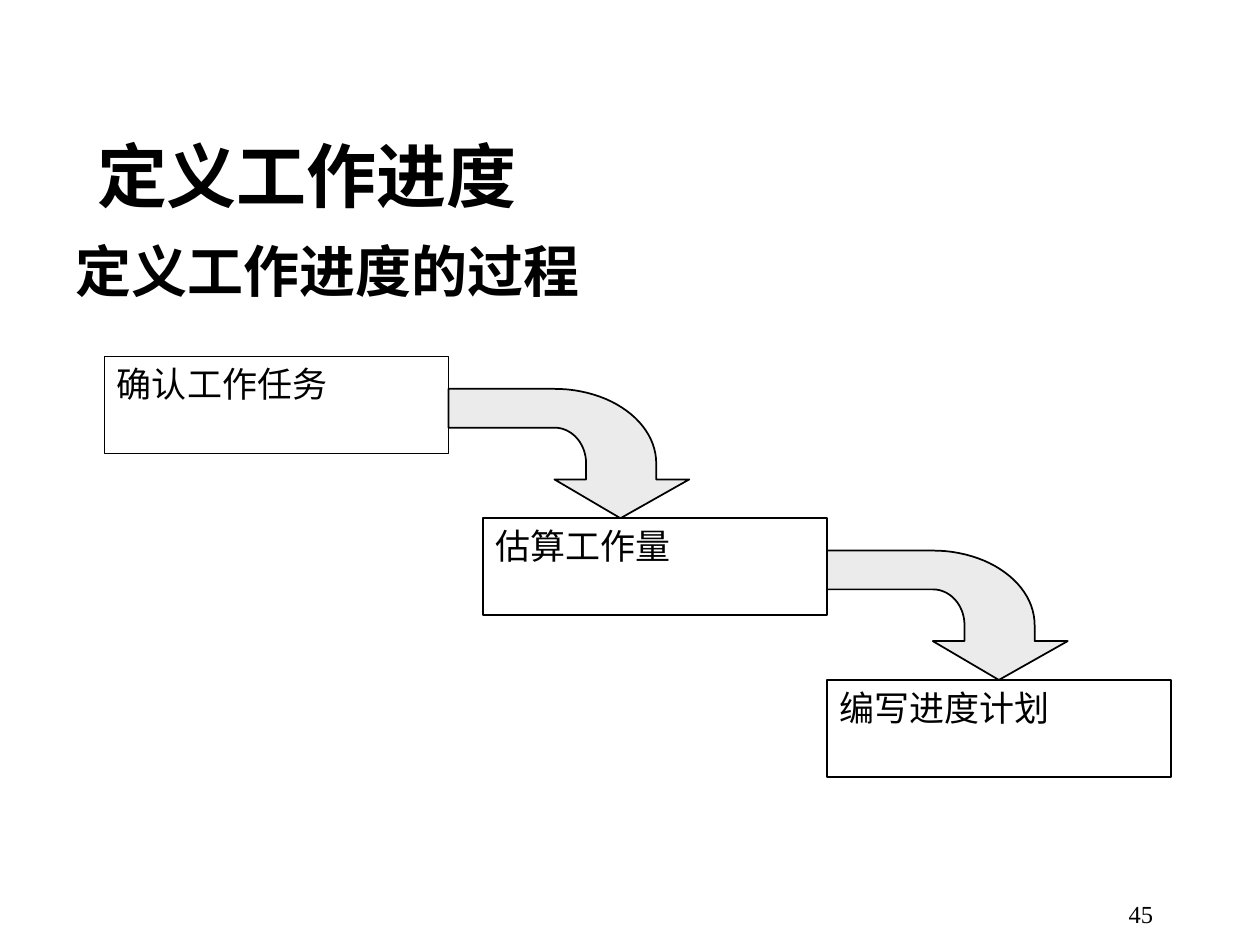
from math import cos, pi, sin

from lxml import etree
from pptx import Presentation
from pptx.dml.color import RGBColor
from pptx.enum.shapes import MSO_SHAPE
from pptx.enum.text import MSO_ANCHOR, MSO_AUTO_SIZE, PP_ALIGN
from pptx.oxml.ns import qn
from pptx.util import Inches, Pt

BLACK = RGBColor(0x00, 0x00, 0x00)
WHITE = RGBColor(0xFF, 0xFF, 0xFF)
SILVER = RGBColor(0xC0, 0xC0, 0xC0)
RECTANGLE = MSO_SHAPE.RECTANGLE
LEFT, RIGHT = PP_ALIGN.LEFT, PP_ALIGN.RIGHT
TOP, BOTTOM = MSO_ANCHOR.TOP, MSO_ANCHOR.BOTTOM
NO_AUTOFIT = MSO_AUTO_SIZE.NONE

COLUMN = Inches(2.73) / 10
ROW = Inches(0.77) / 3
GRID_LEFT, GRID_TOP = Inches(0.83), Inches(2.83)
ARC_STEPS = 24


def write_text(shape, text, font, size, bold=False, align=LEFT, anchor=TOP):
    frame = shape.text_frame
    frame.word_wrap = True
    frame.auto_size = NO_AUTOFIT
    frame.vertical_anchor = anchor
    paragraph = frame.paragraphs[0]
    paragraph.alignment = align
    run = paragraph.add_run()
    run.text = text
    run.font.name = font
    run.font.size = Pt(size)
    run.font.bold = bold
    run.font.color.rgb = BLACK


def arc(center_x, center_y, radius_x, radius_y):
    angles = [pi / 2 * step / ARC_STEPS for step in range(ARC_STEPS + 1)]
    return [(center_x + radius_x * cos(a), center_y - radius_y * sin(a)) for a in angles]


presentation = Presentation()
presentation.slide_width = Inches(10)
presentation.slide_height = Inches(7.5)
slide = presentation.slides.add_slide(presentation.slide_layouts[5])
shapes = slide.shapes

title = shapes.title
title.left, title.top = Inches(0.67), Inches(1)
title.width, title.height = Inches(8.42), Inches(0.77)
write_text(title, "定义工作进度", "Times New Roman", 40, bold=True)

subtitle = shapes.add_textbox(Inches(0.5), Inches(1.83), Inches(8.92), Inches(0.67))
write_text(subtitle, "定义工作进度的过程", "Roboto", 32, bold=True)

page_number = shapes.add_textbox(Inches(7.17), Inches(6.92), Inches(2.08), Inches(0.5))
write_text(page_number, "45", "Times New Roman", 14, align=RIGHT, anchor=BOTTOM)

steps = [
    ("确认工作任务", "Noto Sans CJK SC", 0),
    ("估算工作量", "Arial", 11),
    ("编写进度计划", "Arial", 21),
]
outer_arc = arc(3.08, 3.3, 2.96, 2.3)
inner_arc = arc(3.08, 3.3, 0.92, 1.1)
arrow_outline = (
    [(5, 5), (7, 3.8), (6.04, 3.8)]
    + outer_arc
    + [(0, 1), (0, 2.2)]
    + inner_arc[::-1]
    + [(4, 3.8), (3.08, 3.8)]
)

for index, (label, font, column) in enumerate(steps):
    left = GRID_LEFT + column * COLUMN
    top = GRID_TOP + index * 5 * ROW
    box = shapes.add_shape(RECTANGLE, int(left), int(top), int(10 * COLUMN), int(3 * ROW))
    box.shadow.inherit = False
    box.fill.solid()
    box.fill.fore_color.rgb = WHITE
    box.line.color.rgb = BLACK
    box.line.width = Pt(1)
    write_text(box, label, font, 20)

    if index < len(steps) - 1:
        right = left + 10 * COLUMN
        points = [(int(right + x * COLUMN), int(top + y * ROW)) for x, y in arrow_outline]
        builder = shapes.build_freeform(*points[0])
        builder.add_line_segments(points[1:], close=True)
        arrow = builder.convert_to_shape()
        arrow.shadow.inherit = False
        arrow.fill.solid()
        arrow.fill.fore_color.rgb = SILVER
        arrow.line.color.rgb = BLACK
        arrow.line.width = Pt(1)
        fill_color = arrow.element.spPr.find(qn("a:solidFill")).find(qn("a:srgbClr"))
        etree.SubElement(fill_color, qn("a:alpha")).set("val", "30000")

presentation.save("out.pptx")
